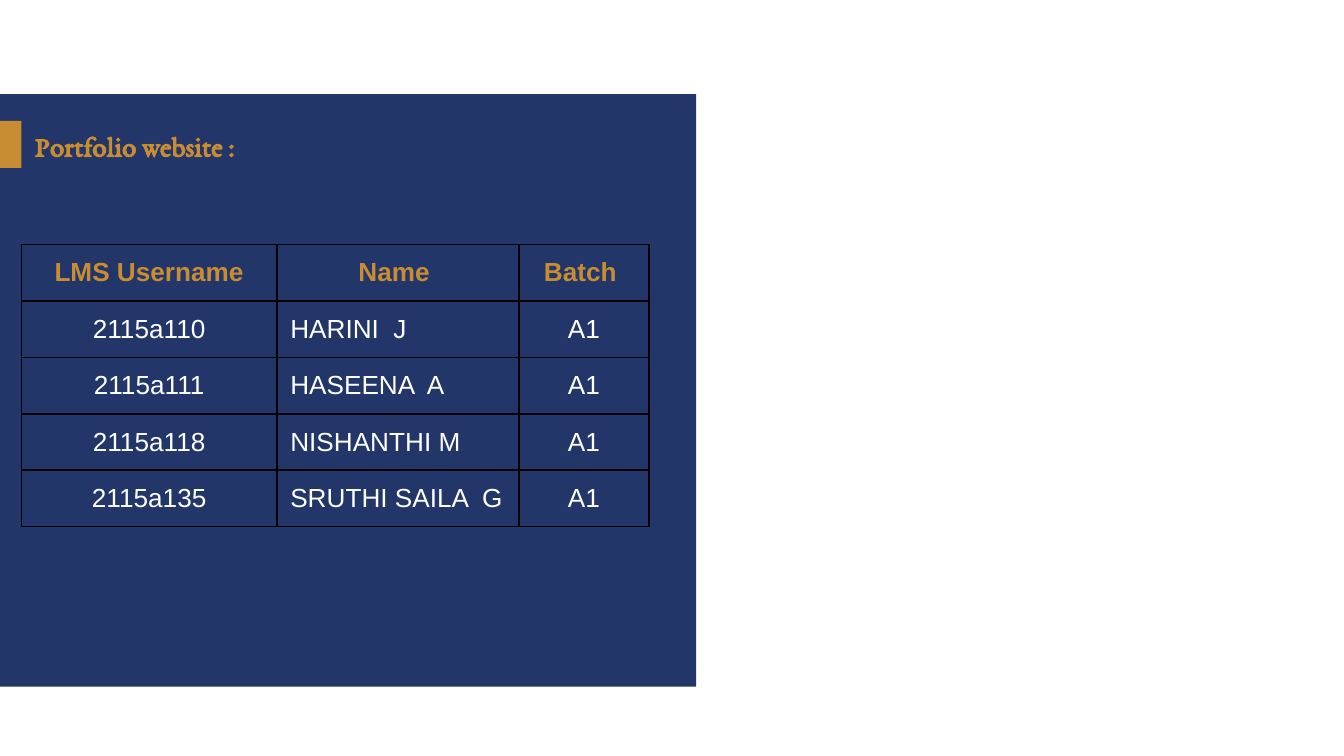
from typing import NamedTuple

from lxml.etree import SubElement
from pptx import Presentation
from pptx.dml.color import RGBColor
from pptx.enum.shapes import MSO_SHAPE
from pptx.enum.text import MSO_ANCHOR, MSO_AUTO_SIZE, PP_ALIGN
from pptx.oxml.ns import qn
from pptx.util import Inches, Pt

NAVY = RGBColor(0x22, 0x36, 0x69)
GOLD = RGBColor(0xC8, 0x8C, 0x32)
WHITE = RGBColor(0xFF, 0xFF, 0xFF)
BLACK = RGBColor(0x00, 0x00, 0x00)


class Panel(NamedTuple):
    top: float
    width: float
    height: float
    color: RGBColor


class Column(NamedTuple):
    heading: str
    width: float
    align: PP_ALIGN


class Student(NamedTuple):
    username: str
    name: str
    batch: str


PANELS = [
    Panel(0.7, 5.18, 4.41, NAVY),
    Panel(0.9, 0.16, 0.35, GOLD),
]
COLUMNS = [
    Column("LMS Username", 1.9, PP_ALIGN.CENTER),
    Column("Name ", 1.8, PP_ALIGN.LEFT),
    Column("Batch ", 0.97, PP_ALIGN.CENTER),
]
STUDENTS = [
    Student("2115a110", "HARINI  J", "A1"),
    Student("2115a111", "HASEENA  A", "A1"),
    Student("2115a118", "NISHANTHI M", "A1"),
    Student("2115a135", "SRUTHI SAILA  G", "A1"),
]
ROW_HEIGHT = 0.42


def add_panel(page, panel: Panel) -> None:
    """Draw a plain rectangle against the left edge of the slide."""
    shape = page.shapes.add_shape(
        MSO_SHAPE.RECTANGLE, 0, Inches(panel.top), Inches(panel.width), Inches(panel.height)
    )
    shape.shadow.inherit = False
    shape.fill.solid()
    shape.fill.fore_color.rgb = panel.color
    shape.line.fill.background()


def format_title(page) -> None:
    title = page.shapes.title
    title.element.getparent().append(title.element)  # in front of the panels
    title.left, title.top = Inches(0.16), Inches(0.89)
    title.width, title.height = Inches(3.74), Inches(0.38)
    frame = title.text_frame
    frame.text = "Portfolio website :"
    frame.auto_size = MSO_AUTO_SIZE.NONE
    frame.vertical_anchor = MSO_ANCHOR.MIDDLE
    frame.margin_left = frame.margin_right = Inches(0.1)
    frame.margin_top = frame.margin_bottom = Inches(0.05)
    para = frame.paragraphs[0]
    para.alignment = PP_ALIGN.LEFT
    para.font.name = "EB Garamond"
    para.font.size = Pt(15.3)
    para.font.bold = True
    para.font.color.rgb = GOLD


def add_borders(cell) -> None:
    properties = cell._tc.get_or_add_tcPr()
    for position, side in enumerate(("lnL", "lnR", "lnT", "lnB")):
        line = SubElement(properties, qn(f"a:{side}"), w=str(Pt(1)))
        fill = SubElement(line, qn("a:solidFill"))
        SubElement(fill, qn("a:srgbClr"), val=str(BLACK))
        properties.insert(position, line)


def fill_cell(cell, text: str, align: PP_ALIGN, color: RGBColor, bold: bool) -> None:
    cell.text = text
    cell.fill.background()
    cell.margin_left = cell.margin_right = Inches(0.1)
    cell.margin_top = cell.margin_bottom = Inches(0.1)
    add_borders(cell)
    para = cell.text_frame.paragraphs[0]
    para.alignment = align
    para.font.name = "Arial"
    para.font.size = Pt(14)
    para.font.bold = bold
    para.font.color.rgb = color


def add_student_table(page) -> None:
    row_count = len(STUDENTS) + 1
    table = page.shapes.add_table(
        row_count, len(COLUMNS), Inches(0.16), Inches(1.82),
        Inches(sum(column.width for column in COLUMNS)), Inches(ROW_HEIGHT * row_count),
    ).table
    table.horz_banding = False
    for row in table.rows:
        row.height = Inches(ROW_HEIGHT)
    for index, column in enumerate(COLUMNS):
        table.columns[index].width = Inches(column.width)
        fill_cell(table.cell(0, index), column.heading, PP_ALIGN.CENTER, GOLD, True)
        for row_index, student in enumerate(STUDENTS, start=1):
            fill_cell(table.cell(row_index, index), student[index], column.align, WHITE, False)


def main() -> None:
    deck = Presentation()
    deck.slide_width = Inches(10)
    deck.slide_height = deck.slide_width * 9 // 16
    page = deck.slides.add_slide(deck.slide_layouts[5])
    for panel in PANELS:
        add_panel(page, panel)
    format_title(page)
    add_student_table(page)
    deck.save("out.pptx")


if __name__ == "__main__":
    main()
